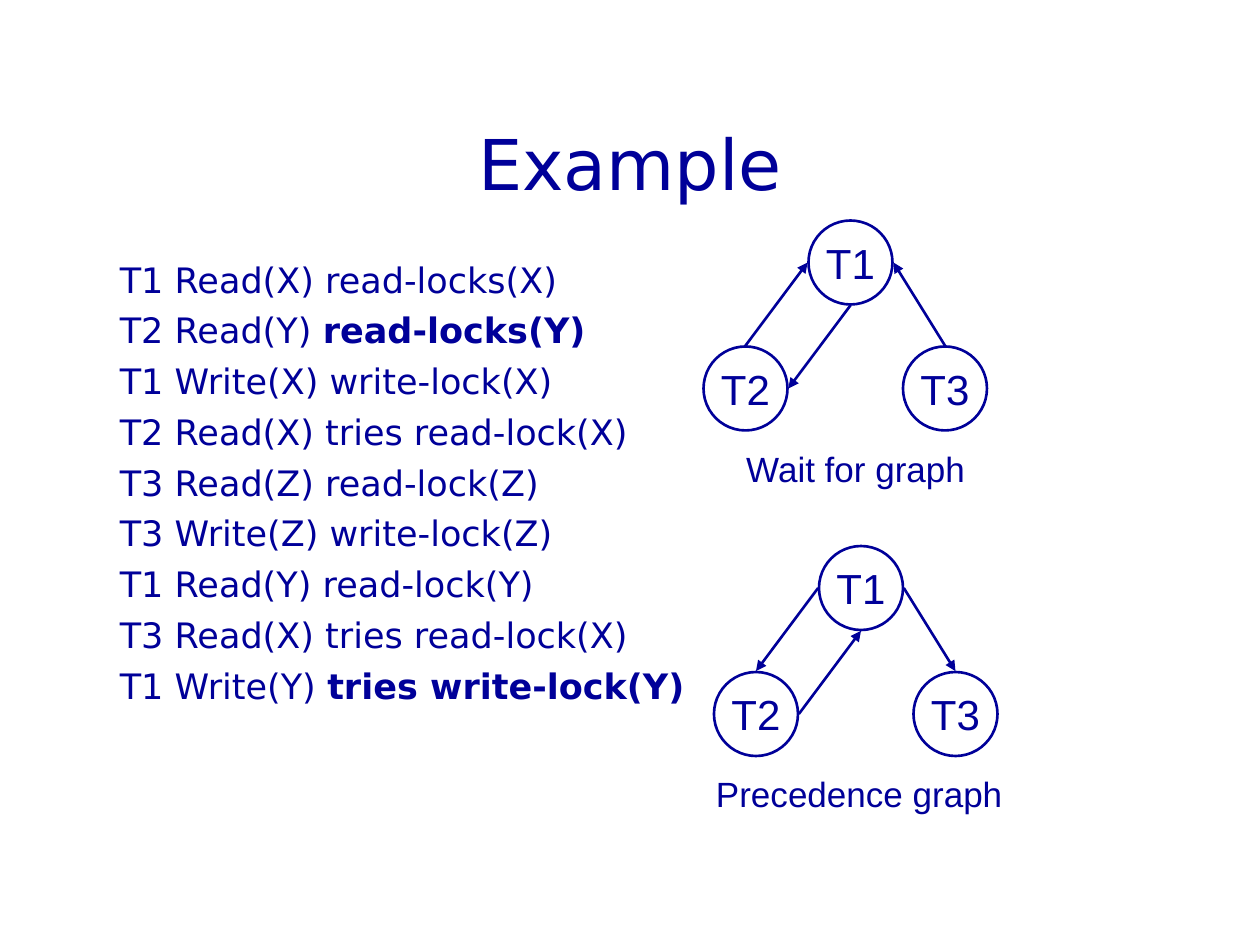
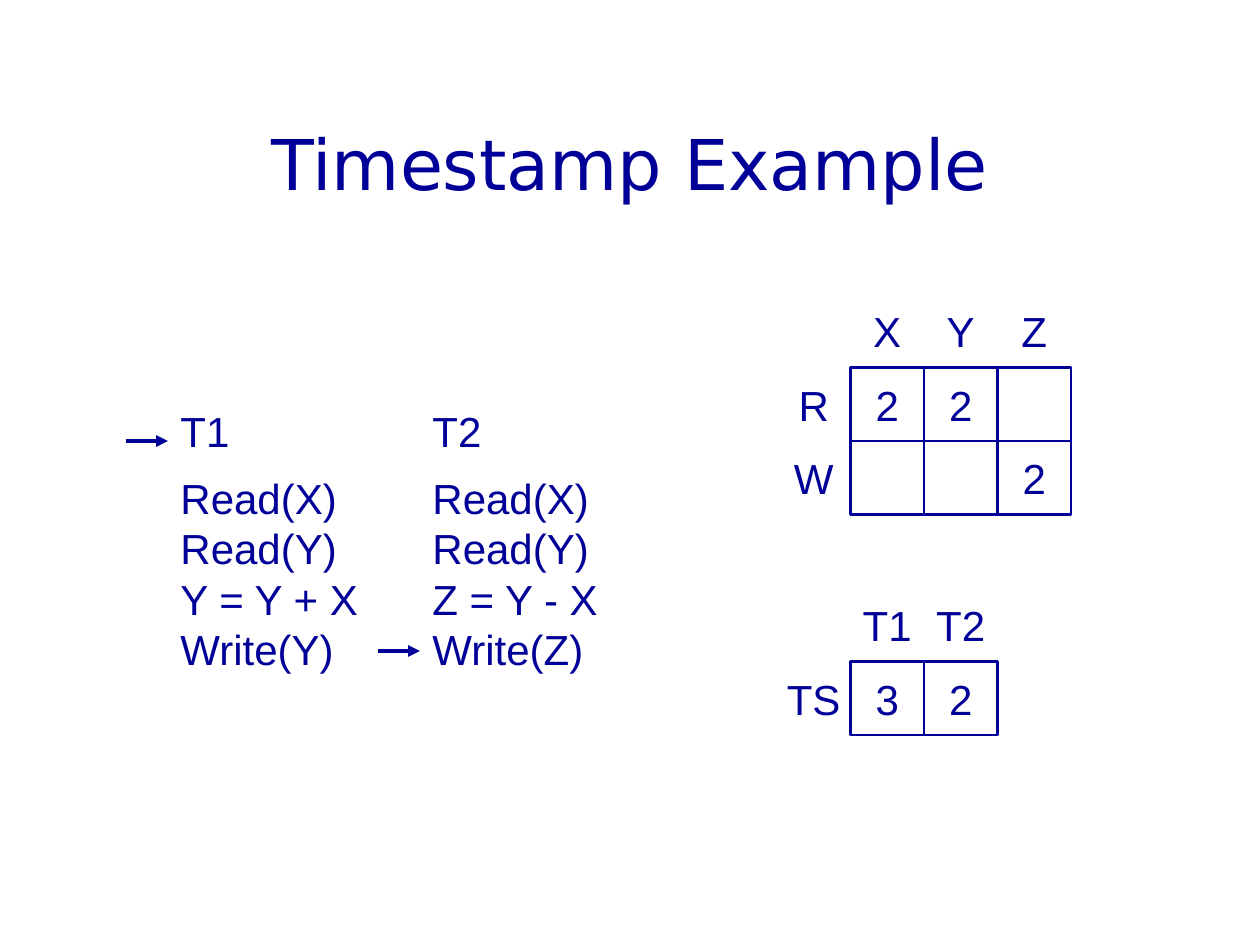
"""Build two slides on locking graphs and timestamp ordering."""
from lxml import etree
from pptx import Presentation
from pptx.dml.color import RGBColor
from pptx.enum.shapes import MSO_CONNECTOR, MSO_SHAPE
from pptx.enum.text import MSO_ANCHOR, PP_ALIGN
from pptx.oxml.ns import qn
from pptx.util import Pt

PX = 6350
NAVY = RGBColor(0x00, 0x00, 0x99)
HEADING_FONT, LABEL_FONT = "DejaVu Sans", "Arial"
LEFT, CENTER = PP_ALIGN.LEFT, PP_ALIGN.CENTER
TOP, MIDDLE = MSO_ANCHOR.TOP, MSO_ANCHOR.MIDDLE
OVAL, RECTANGLE = MSO_SHAPE.OVAL, MSO_SHAPE.RECTANGLE
STRAIGHT = MSO_CONNECTOR.STRAIGHT


def write(slide, box, lines, size, font=LABEL_FONT, align=CENTER,
          anchor=MIDDLE, wrap=False, outline=None):
    """Place (plain, bold) lines in a text box or an outlined shape."""
    place = [value * PX for value in box]
    if outline is None:
        holder = slide.shapes.add_textbox(*place)
    else:
        holder = slide.shapes.add_shape(outline, *place)
        holder.shadow.inherit = False
        holder.fill.background()
        holder.line.color.rgb = NAVY
        holder.line.width = Pt(1.5)
    frame = holder.text_frame
    frame.word_wrap = wrap
    frame.vertical_anchor = anchor
    for index, (plain, bold) in enumerate(lines):
        paragraph = frame.add_paragraph() if index else frame.paragraphs[0]
        paragraph.text = plain
        paragraph.alignment = align
        if bold:
            emphasis = paragraph.add_run()
            emphasis.text = bold
            emphasis.font.bold = True
        for run in paragraph.runs:
            run.font.name = font
            run.font.size = Pt(size)
            run.font.color.rgb = NAVY
    return frame


def draw_arrow(slide, start, end, width):
    """Draw a straight line with a triangular head at its end."""
    ends = [value * PX for value in (*start, *end)]
    arrow = slide.shapes.add_connector(STRAIGHT, *ends)
    arrow.line.color.rgb = NAVY
    arrow.line.width = Pt(width)
    etree.SubElement(arrow.line._get_or_add_ln(), qn("a:tailEnd"), type="triangle")
    etree.SubElement(arrow._element.spPr, qn("a:effectLst"))


deck = Presentation()
deck.slide_width, deck.slide_height = 1440 * PX, 1080 * PX
lock_slide, timestamp_slide = [
    deck.slides.add_slide(deck.slide_layouts[6]) for _ in range(2)]
for slide, title in ((lock_slide, "Example"), (timestamp_slide, "Timestamp Example")):
    write(slide, (108, 96, 1224, 180), [(title, "")], 40, HEADING_FONT, wrap=True)

LOCK_STEPS = [
    ("T1 Read(X) read-locks(X)", ""),
    ("T2 Read(Y) ", "read-locks(Y)"),
    ("T1 Write(X) write-lock(X)", ""),
    ("T2 Read(X) tries read-lock(X)", ""),
    ("T3 Read(Z) read-lock(Z)", ""),
    ("T3 Write(Z) write-lock(Z)", ""),
    ("T1 Read(Y) read-lock(Y)", ""),
    ("T3 Read(X) tries read-lock(X)", ""),
    ("T1 Write(Y) ", "tries write-lock(Y)"),
]
steps = write(lock_slide, (50, 288, 782, 671), LOCK_STEPS, 20, HEADING_FONT,
              LEFT, TOP, wrap=True)
steps.margin_left = 87 * PX
for paragraph in steps.paragraphs[1:]:
    paragraph.space_before = Pt(5)

NODE = 96
NODES = {"T1": (924, 252), "T2": (804, 396), "T3": (1032, 396)}
SIDES = {"top": (48, -1), "bottom": (48, 97), "left": (-1, 48), "right": (97, 48)}
GRAPHS = [
    ("Wait for graph", (828, 504, 300, 63), (0, 0),
     [("T2", "top", "T1", "left"), ("T1", "bottom", "T2", "right"),
      ("T3", "top", "T1", "right")]),
    ("Precedence graph", (804, 876, 356, 63), (12, 372),
     [("T1", "left", "T2", "top"), ("T1", "right", "T3", "top"),
      ("T2", "right", "T1", "bottom")]),
]
for caption, caption_box, (shift_x, shift_y), edges in GRAPHS:
    nodes = {name: (x + shift_x, y + shift_y) for name, (x, y) in NODES.items()}
    for name, corner in nodes.items():
        write(lock_slide, (*corner, NODE, NODE), [(name, "")], 24, outline=OVAL)
    for source, source_side, target, target_side in edges:
        start, end = [
            (nodes[name][0] + SIDES[side][0], nodes[name][1] + SIDES[side][1])
            for name, side in ((source, source_side), (target, target_side))]
        draw_arrow(lock_slide, start, end, 1.5)
    write(lock_slide, caption_box, [(caption, "")], 20, anchor=TOP)

SCHEDULE = ["T1\tT2", "Read(X)\tRead(X)", "Read(Y)\tRead(Y)",
            "Y = Y + X\tZ = Y - X", "Write(Y)\tWrite(Z)"]
schedule = write(timestamp_slide, (192, 456, 507, 323),
                 [(step, "") for step in SCHEDULE], 24, align=LEFT, anchor=TOP)
schedule.paragraphs[1].space_before = Pt(9.6)
for paragraph in schedule.paragraphs:
    tabs = etree.SubElement(paragraph._p.get_or_add_pPr(), qn("a:tabLst"))
    etree.SubElement(tabs, qn("a:tab"), pos=str(288 * PX), algn="l")

CELL = 84
GRIDS = [
    (336, [["", "X", "Y", "Z"], ["R", "2", "2", ""], ["W", "", "", "2"]]),
    (672, [["", "T1", "T2"], ["TS", "3", "2"]]),
]
for grid_top, rows in GRIDS:
    for row, values in enumerate(rows):
        for column, value in enumerate(values):
            if row or column:
                cell_box = (888 + column * CELL, grid_top + row * CELL, CELL, CELL)
                cell = write(timestamp_slide, cell_box, [(value, "")], 24,
                             outline=RECTANGLE if row and column else None)
                cell.margin_left = cell.margin_right = 0

for x, y in ((144, 504), (432, 744)):
    draw_arrow(timestamp_slide, (x, y), (x + 48, y), 2.25)

deck.save("out.pptx")
